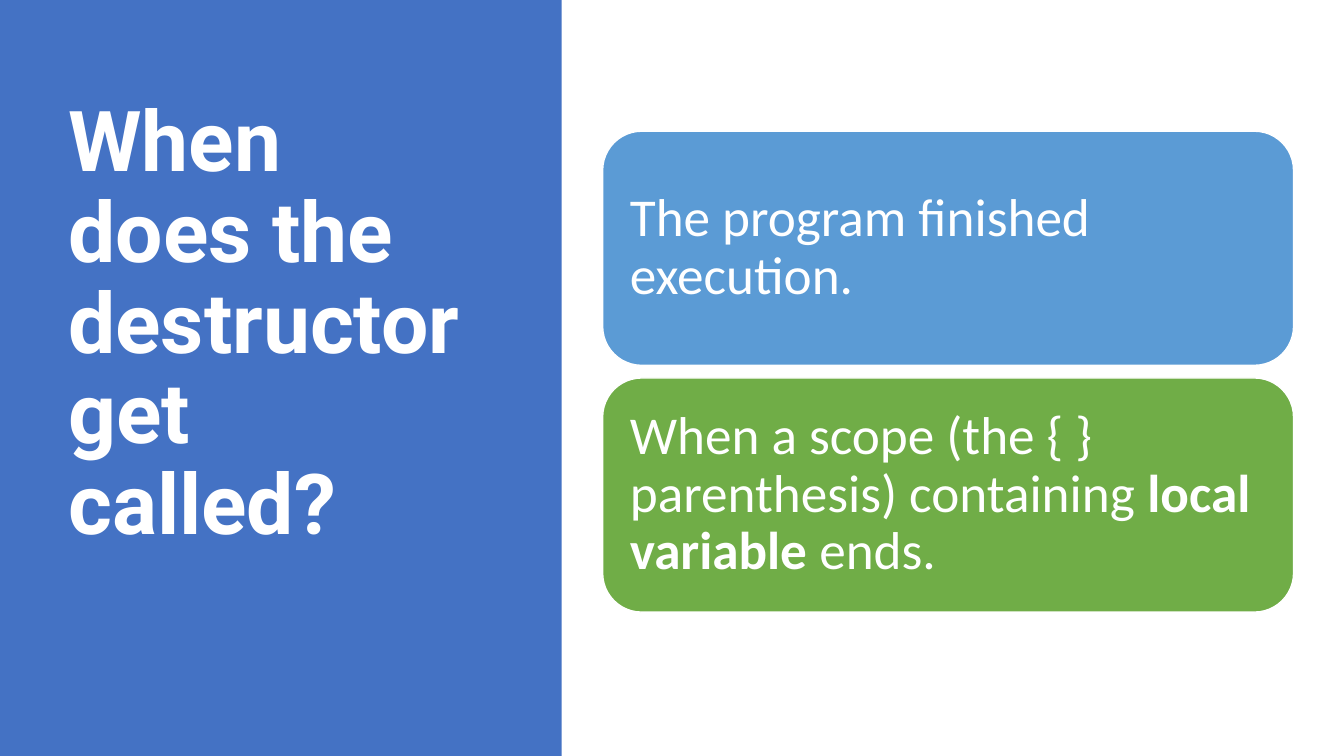
from dataclasses import dataclass

from pptx import Presentation
from pptx.dml.color import RGBColor
from pptx.enum.shapes import MSO_SHAPE
from pptx.enum.text import MSO_ANCHOR, MSO_AUTO_SIZE, PP_ALIGN
from pptx.util import Emu, Pt


@dataclass(frozen=True)
class Theme:
    """Colours, fonts and type sizes of the slide."""
    panel: str = "4472C4"
    cards: tuple = ("5B9BD5", "70AD47")
    white: str = "FFFFFF"
    title_font: str = "Roboto"
    body_font: str = "Calibri"
    title_size: int = 60
    body_size: int = 38
    line_spacing: float = 0.9


THEME = Theme()
SLIDE_W, SLIDE_H = 1280, 720
PANEL_W = 535
CARD_X, CARD_Y, CARD_W, CARD_H, CARD_PITCH = 574, 125, 658, 223, 235
CARD_INSET = 15
CARDS = (
    (("The program finished execution.", False),),
    (
        ("When a scope (the { } parenthesis) containing ", False),
        ("local variable", True),
        (" ends.", False),
    ),
)


def px(n):
    """Turn px at 96 to the inch into EMU."""
    return Emu(n * 9525)


def rgb(value):
    """Turn a hex string into a colour."""
    return RGBColor.from_string(value)


def format_run(r, font, size, bold):
    """Give a run its white type style."""
    r.font.name = font
    r.font.size = Pt(size)
    r.font.bold = bold
    r.font.color.rgb = rgb(THEME.white)


def format_frame(tf):
    """Wrap a frame and set its paragraph left, anchored to the middle."""
    tf.word_wrap = True
    tf.auto_size = MSO_AUTO_SIZE.NONE
    tf.vertical_anchor = MSO_ANCHOR.MIDDLE
    p = tf.paragraphs[0]
    p.alignment = PP_ALIGN.LEFT
    p.line_spacing = THEME.line_spacing
    return p


def add_block(s, kind, x, y, w, h, fill):
    """Add a flat filled shape without an outline."""
    sp = s.shapes.add_shape(kind, px(x), px(y), px(w), px(h))
    sp.shadow.inherit = False
    sp.fill.solid()
    sp.fill.fore_color.rgb = rgb(fill)
    sp.line.fill.background()
    return sp


def set_title(s, text):
    """Place and format the title on its side panel."""
    title = s.shapes.title
    title.left, title.top, title.width, title.height = map(px, (55, 65, 399, 578))
    tf = title.text_frame
    tf.text = text
    p = format_frame(tf)
    tf.margin_left = tf.margin_right = px(10)
    tf.margin_top, tf.margin_bottom = px(5), px(92)
    format_run(p.runs[0], THEME.title_font, THEME.title_size, True)
    panel = add_block(s, MSO_SHAPE.RECTANGLE, 0, 0, PANEL_W, SLIDE_H, THEME.panel)
    title.element.addprevious(panel.element)


def add_card(s, y, fill, parts):
    """Add a rounded card holding one statement."""
    sp = add_block(s, MSO_SHAPE.ROUNDED_RECTANGLE, CARD_X, y, CARD_W, CARD_H, fill)
    sp.line.color.rgb = rgb(THEME.white)
    sp.line.width = Pt(1)
    tf = sp.text_frame
    p = format_frame(tf)
    tf.margin_left = tf.margin_right = px(CARD_INSET)
    tf.margin_top = tf.margin_bottom = px(CARD_INSET)
    for text, bold in parts:
        r = p.add_run()
        r.text = text
        format_run(r, THEME.body_font, THEME.body_size, bold)


def main():
    """Build and save the slide."""
    prs = Presentation()
    prs.slide_width, prs.slide_height = px(SLIDE_W), px(SLIDE_H)
    s = prs.slides.add_slide(prs.slide_layouts.get_by_name("Title Only"))
    set_title(s, "When does the destructor get called?")
    for i, (fill, parts) in enumerate(zip(THEME.cards, CARDS)):
        add_card(s, CARD_Y + i * CARD_PITCH, fill, parts)
    prs.save("out.pptx")


if __name__ == "__main__":
    main()
